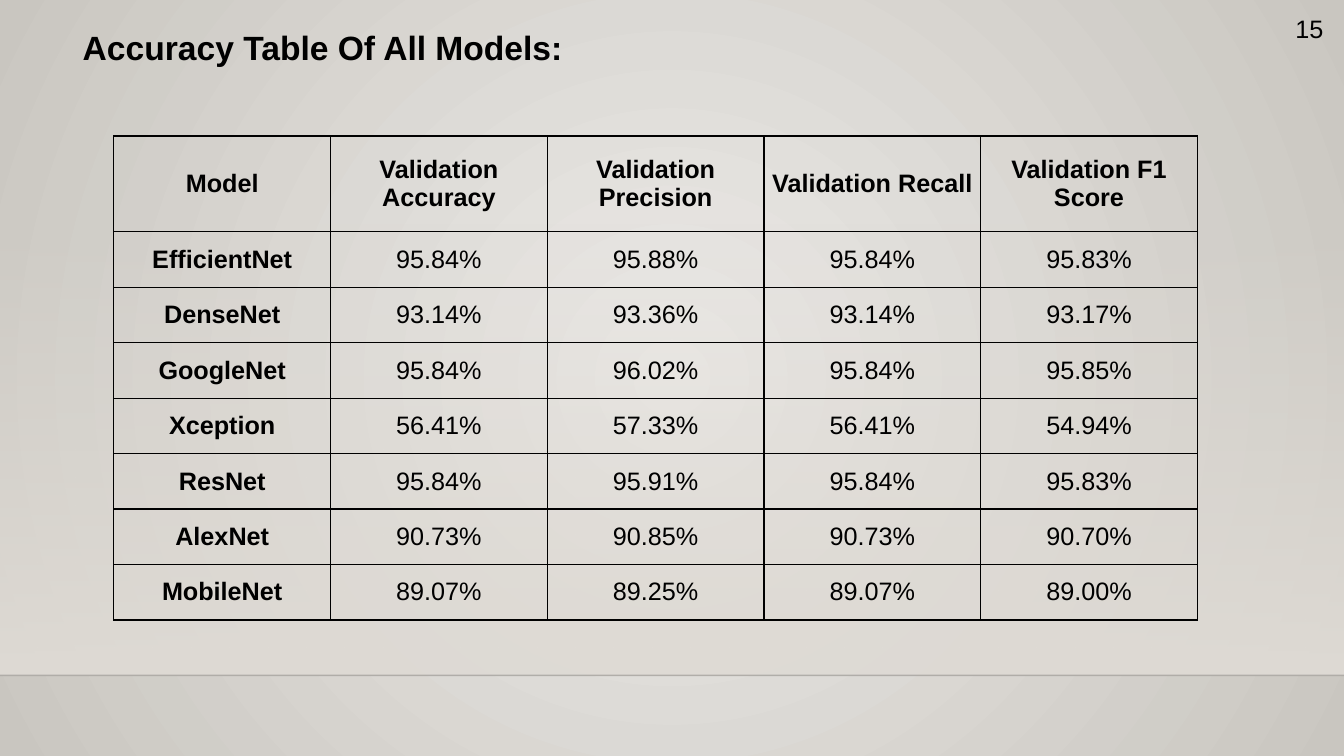
from dataclasses import dataclass
from pptx import Presentation, util as u
from pptx.dml.color import RGBColor
from pptx.enum import shapes, text
from pptx.oxml import parse_xml
from pptx.oxml.ns import nsdecls, qn

NS = nsdecls("a")


@dataclass(frozen=True)
class Theme:
    font: str = "Arial"
    ink: str = "000000"
    light: str = "ECEAE7"
    dark: str = "C9C6C0"
    floor: str = "DFDBD5"
    head: int = 24
    body: int = 18
    rule: int = 1
    pad: float = 0.05


def paint(root, stops, shade):
    marks = "".join(
        f'<a:gs pos="{pos * 1000}"><a:srgbClr val="{tone}">'
        f'<a:alpha val="{alpha * 1000}"/></a:srgbClr></a:gs>'
        for pos, tone, alpha in stops)
    grad = parse_xml(f'<a:gradFill {NS} rotWithShape="1">'
                     f'<a:gsLst>{marks}</a:gsLst>{shade}</a:gradFill>')
    solid = next(root.iter(qn("a:solidFill")))
    solid.getparent().replace(solid, grad)


def assign(item, form):
    for key, value in form.items():
        setattr(item, key, value)


class Board:
    COLS, ROWS = 40, 30

    def __init__(self, deck, theme):
        self.theme = theme
        self.wide = deck.slide_width / self.COLS
        self.high = deck.slide_height / self.ROWS
        self.slide = deck.slides.add_slide(deck.slide_layouts[5])
        self.pads = {f"margin_{side}": u.Inches(theme.pad)
                     for side in ("left", "right", "top", "bottom")}

    def place(self, col, row, wide, high):
        return (round(col * self.wide), round(row * self.high),
                round(wide * self.wide), round(high * self.high))

    def label(self, frame, words, size, bold=False, align=text.PP_ALIGN.LEFT, space=1.0):
        para = frame.paragraphs[0]
        assign(para, {"alignment": align, "line_spacing": space})
        run = para.add_run()
        run.text = words
        assign(run.font, {"name": self.theme.font, "size": u.Pt(size), "bold": bold})
        run.font.color.rgb = RGBColor.from_string(self.theme.ink)

    def backdrop(self):
        self.slide.background.fill.solid()
        paint(self.slide.element,
              [(0, self.theme.light, 100), (100, self.theme.dark, 100)],
              '<a:path path="circle"><a:fillToRect l="50000" t="50000" '
              'r="50000" b="50000"/></a:path>')

    def panel(self, *area):
        pane = self.slide.shapes.add_shape(shapes.MSO_SHAPE.RECTANGLE, *self.place(*area))
        pane.shadow.inherit = False
        pane.line.fill.background()
        pane.fill.solid()
        paint(pane.element,
              [(0, self.theme.floor, 0), (100, self.theme.floor, 100)],
              '<a:lin ang="5400000" scaled="0"/>')

    def rule(self, row, alpha):
        left, top, wide, _ = self.place(0, row, self.COLS, 0)
        line = self.slide.shapes.add_connector(
            shapes.MSO_CONNECTOR.STRAIGHT, left, top, left + wide, top)
        line.line.width = u.Pt(self.theme.rule)
        line.line.color.rgb = RGBColor.from_string(self.theme.ink)
        tone = next(line.element.iter(qn("a:srgbClr")))
        tone.append(parse_xml(f'<a:alpha {NS} val="{alpha * 1000}"/>'))
        line.element.spPr.append(parse_xml(f"<a:effectLst {NS}/>"))

    def title(self, words, *area):
        head = self.slide.shapes.title
        assign(head, dict(zip(("left", "top", "width", "height"), self.place(*area))))
        assign(head.text_frame, {**self.pads, "word_wrap": True,
                                 "auto_size": text.MSO_AUTO_SIZE.NONE,
                                 "vertical_anchor": text.MSO_ANCHOR.TOP})
        self.label(head.text_frame, words, self.theme.head, bold=True, space=0.9)

    def number(self, words, *area):
        box = self.slide.shapes.add_textbox(*self.place(*area))
        assign(box.text_frame, {**self.pads, "word_wrap": False,
                                "auto_size": text.MSO_AUTO_SIZE.SHAPE_TO_FIT_TEXT})
        self.label(box.text_frame, words, self.theme.body, align=text.PP_ALIGN.RIGHT)

    def border(self, cell):
        props = cell._tc.get_or_add_tcPr()
        for spot, side in enumerate("LRTB"):
            props.insert(spot, parse_xml(
                f'<a:ln{side} {NS} w="{u.Pt(self.theme.rule)}"><a:solidFill>'
                f'<a:srgbClr val="{self.theme.ink}"/></a:solidFill></a:ln{side}>'))

    def table(self, data, col, row, wide, top, step):
        count = len(data[0])
        area = self.place(col, row, wide * count, top + step * (len(data) - 1))
        grid = self.slide.shapes.add_table(len(data), count, *area).table
        assign(grid, {"first_row": False, "horz_banding": False})
        for line in grid.columns:
            line.width = round(wide * self.wide)
        for r, values in enumerate(data):
            grid.rows[r].height = round((step if r else top) * self.high)
            for c, words in enumerate(values):
                cell = grid.cell(r, c)
                assign(cell, {**self.pads, "vertical_anchor": text.MSO_ANCHOR.MIDDLE})
                cell.fill.background()
                self.border(cell)
                self.label(cell.text_frame, words, self.theme.body,
                           bold=r == 0 or c == 0, align=text.PP_ALIGN.CENTER)


HEADS = ["Model", "Validation Accuracy", "Validation Precision",
         "Validation Recall", "Validation F1 Score"]
SCORES = {
    "EfficientNet": (95.84, 95.88, 95.84, 95.83),
    "DenseNet": (93.14, 93.36, 93.14, 93.17),
    "GoogleNet": (95.84, 96.02, 95.84, 95.85),
    "Xception": (56.41, 57.33, 56.41, 54.94),
    "ResNet": (95.84, 95.91, 95.84, 95.83),
    "AlexNet": (90.73, 90.85, 90.73, 90.70),
    "MobileNet": (89.07, 89.25, 89.07, 89.00),
}


def main():
    deck = Presentation()
    assign(deck, {"slide_width": u.Inches(13.33), "slide_height": u.Inches(7.5)})
    board = Board(deck, Theme())
    board.backdrop()
    board.panel(0, 8.84, board.COLS, 17.96)
    board.rule(26.8, alpha=20)
    board.title("Accuracy Table Of All Models:", 2.31, 1.04, 22.32, 2.72)
    rows = [[name, *(f"{score:.2f}%" for score in scores)]
            for name, scores in SCORES.items()]
    board.table([HEADS, *rows], 3.39, 5.4, wide=6.45, top=3.8, step=2.2)
    board.number("15", 38.37, 0.32, 1.17, 1.52)
    deck.save("out.pptx")


if __name__ == "__main__":
    main()
